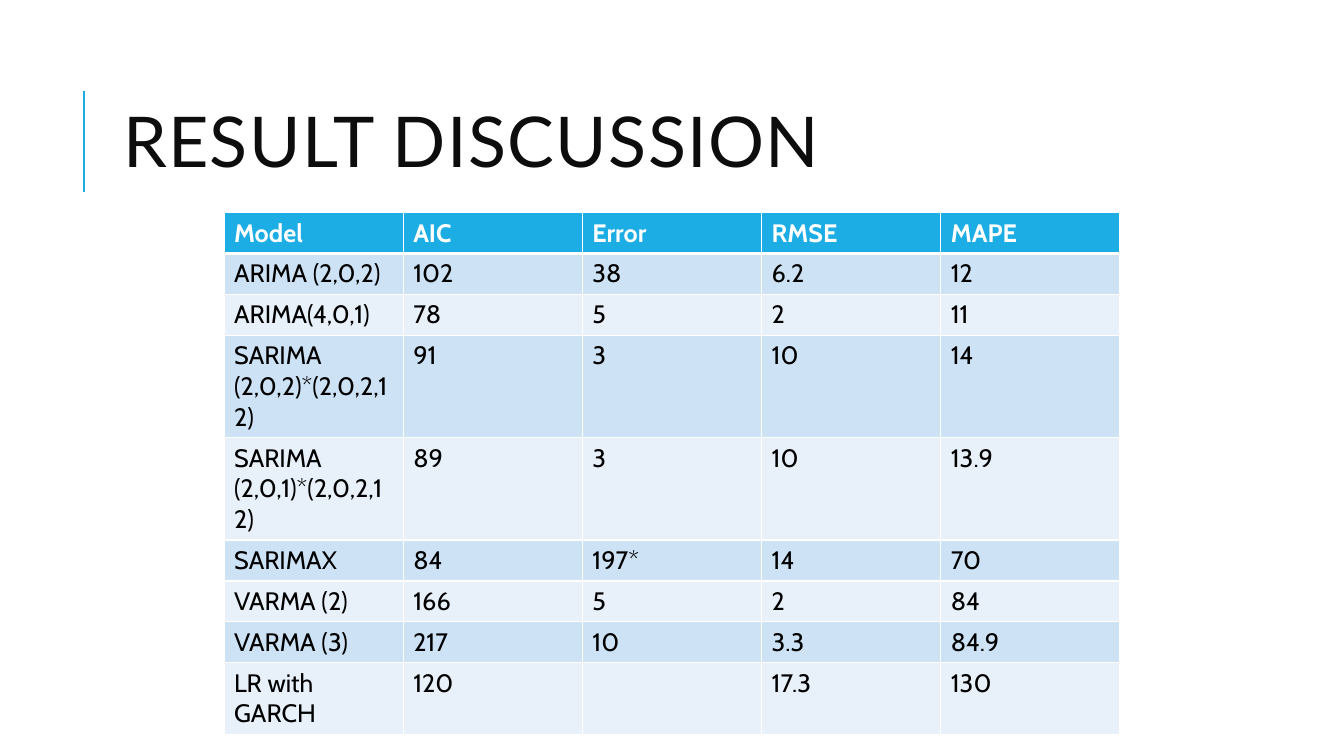
import pptx
import pptx.util
import pptx.dml.color
import pptx.enum.shapes
import pptx.enum.text
import pptx.oxml.ns
from lxml import etree

WIDTH, HEIGHT = pptx.util.Inches(13.33), pptx.util.Inches(7.5)
GRID_COLS, GRID_ROWS = 12, 75
TITLE_FONT, TABLE_FONT = "Lato", "Cabin"
COLORS = {
    "accent": "1CADE4",
    "title": "0D0D0D",
    "text": "000000",
    "white": "FFFFFF",
    "odd": "CDE3F5",
    "even": "E8F1FA",
}
RESULTS = [
    ("Model", "AIC", "Error", "RMSE", "MAPE"),
    ("ARIMA (2,0,2)", "102", "38", "6.2", "12"),
    ("ARIMA(4,0,1)", "78", "5", "2", "11"),
    ("SARIMA (2,0,2)*(2,0,2,12)", "91", "3", "10", "14"),
    ("SARIMA (2,0,1)*(2,0,2,12)", "89", "3", "10", "13.9"),
    ("SARIMAX", "84", "197*", "14", "70"),
    ("VARMA (2)", "166", "5", "2", "84"),
    ("VARMA (3)", "217", "10", "3.3", "84.9"),
    ("LR with GARCH", "120", "", "17.3", "130"),
]


def col(n):
    """Length of n grid columns."""
    return round(WIDTH * n / GRID_COLS)


def row(n):
    """Length of n grid rows."""
    return round(HEIGHT * n / GRID_ROWS)


def rgb(name):
    """Colour object for a named colour."""
    return pptx.dml.color.RGBColor.from_string(COLORS[name])


def add_run(p, text, font, size, color, bold=False):
    """Add one formatted run to a paragraph."""
    r = p.add_run()
    r.text = text
    r.font.name = font
    r.font.size = pptx.util.Pt(size)
    r.font.bold = bold
    r.font.color.rgb = rgb(color)
    return r


def add_rule(s, x, top, bottom):
    """Draw the vertical accent line beside the title."""
    kind = pptx.enum.shapes.MSO_CONNECTOR.STRAIGHT
    sp = s.shapes.add_connector(kind, col(x), row(bottom), col(x), row(top))
    sp.line.color.rgb = rgb("accent")
    sp.line.width = pptx.util.Pt(1.5)
    etree.SubElement(sp._element.spPr, pptx.oxml.ns.qn("a:effectLst"))


def add_title(s, text, x, y, w, h):
    """Add the letter-spaced title, centred vertically."""
    tf = s.shapes.add_textbox(col(x), row(y), col(w), row(h)).text_frame
    tf.word_wrap = True
    tf.vertical_anchor = pptx.enum.text.MSO_ANCHOR.MIDDLE
    p = tf.paragraphs[0]
    p.line_spacing = 0.8
    r = add_run(p, text, TITLE_FONT, 50, "title")
    r.font._element.set("spc", "100")


def style_cell(cell, fill, bottom):
    """Give a cell white borders and a solid fill."""
    tc_pr = cell._tc.get_or_add_tcPr()
    for side, width in (("L", 1), ("R", 1), ("T", 1), ("B", bottom)):
        ln = etree.SubElement(tc_pr, pptx.oxml.ns.qn(f"a:ln{side}"),
                              w=str(pptx.util.Pt(width)))
        solid = etree.SubElement(ln, pptx.oxml.ns.qn("a:solidFill"))
        etree.SubElement(solid, pptx.oxml.ns.qn("a:srgbClr"),
                         val=COLORS["white"])
    cell.fill.solid()
    cell.fill.fore_color.rgb = rgb(fill)


def add_results(s, data, x, y, w):
    """Add the banded table; long model names get a taller row."""
    heights = [row(9.2 if len(line[0]) > 20 else 3.7) for line in data]
    frame = s.shapes.add_table(len(data), len(data[0]), col(x), row(y),
                               col(w), sum(heights))
    table = frame.table
    for column in table.columns:
        column.width = col(w / len(data[0]))
    for i, line in enumerate(data):
        header = i == 0
        table.rows[i].height = heights[i]
        fill = "accent" if header else "odd" if i % 2 else "even"
        for j, text in enumerate(line):
            cell = table.cell(i, j)
            # The rule under the header is shared with the first body row.
            style_cell(cell, fill, 3 if header else 1)
            if text:
                add_run(cell.text_frame.paragraphs[0], text, TABLE_FONT, 18,
                        "white" if header else "text", header)


def main():
    """Build and save the slide."""
    prs = pptx.Presentation()
    prs.slide_width, prs.slide_height = WIDTH, HEIGHT
    s = prs.slides.add_slide(prs.slide_layouts[6])
    add_rule(s, 0.75, 9, 19)
    add_results(s, RESULTS, 2, 21.1, 8)
    add_title(s, "RESULT DISCUSSION", 1.01, 6.4, 9.57, 16.4)
    prs.save("out.pptx")


main()
